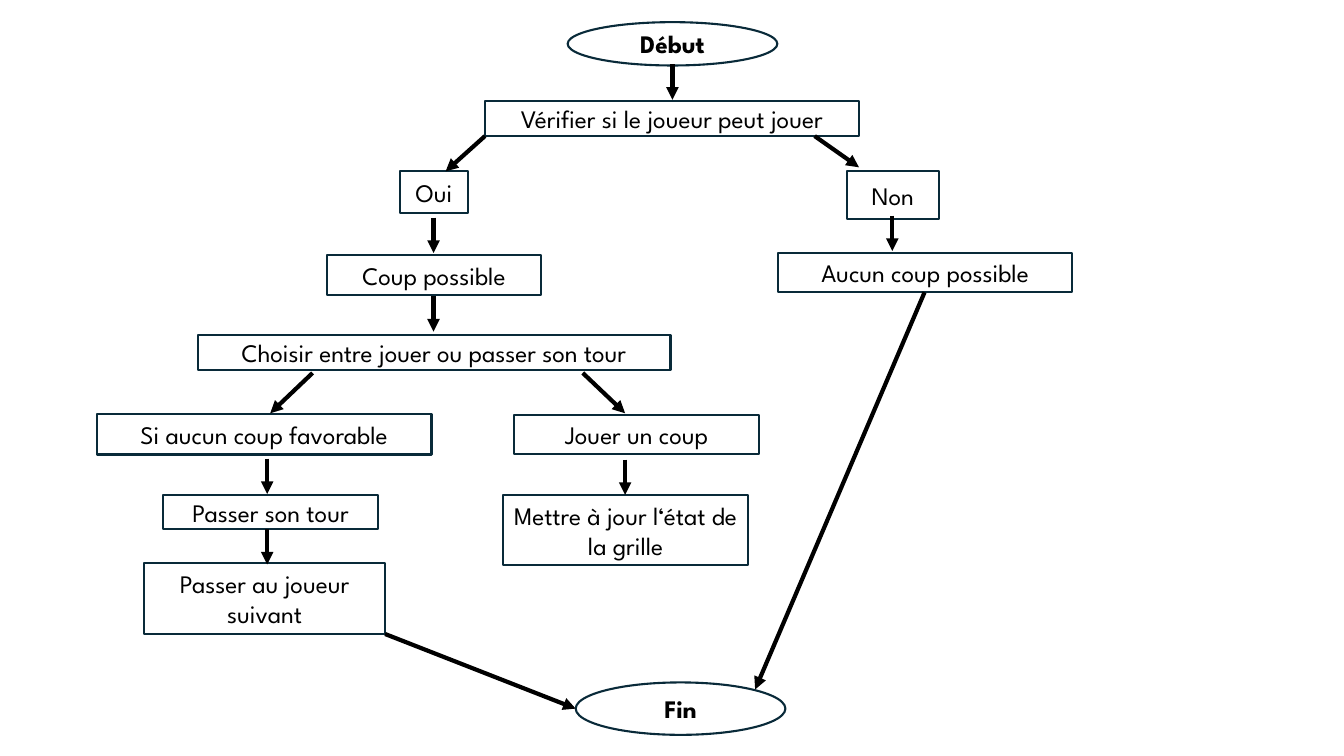
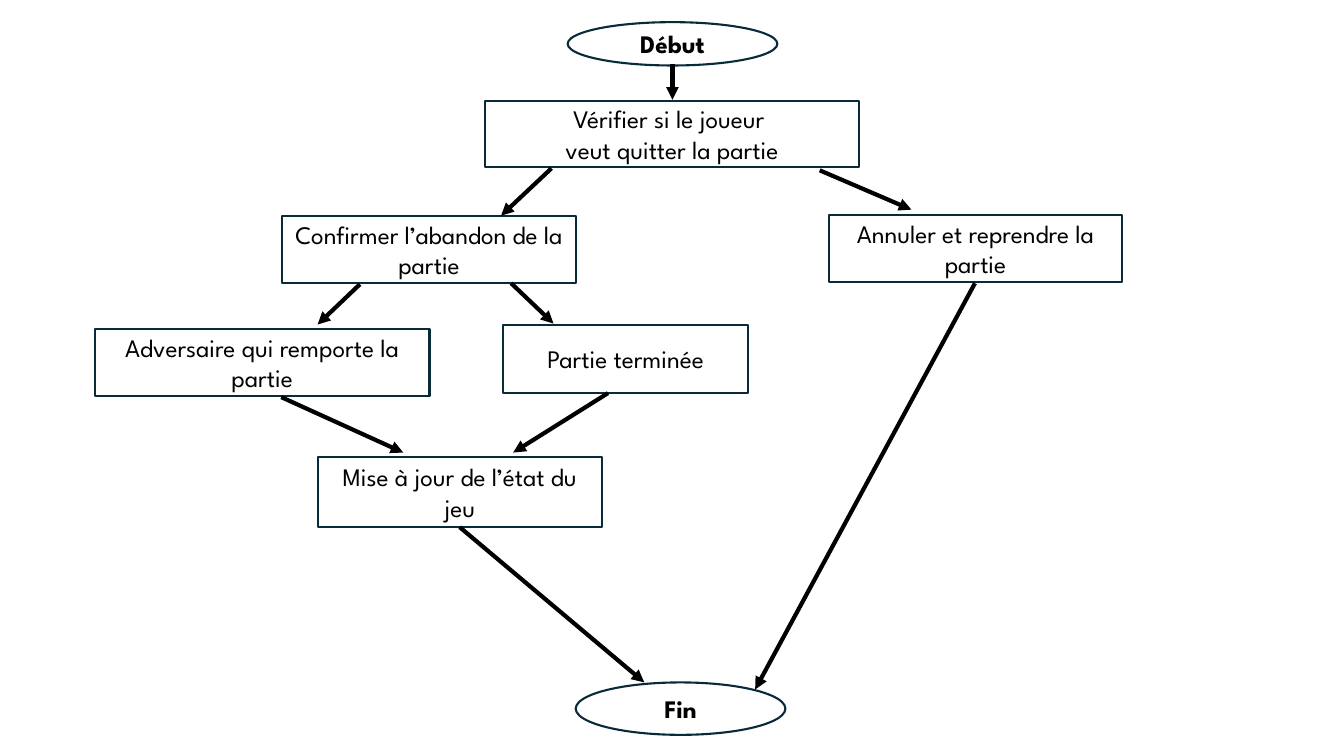
from lxml import etree
from pptx import Presentation
from pptx import util as u
from pptx.dml import color
from pptx.enum import shapes, text
from pptx.oxml import ns

PX = 9144  # EMU per px, 100 px to the inch
COLORS = {"outline": "092A39", "ink": "000000"}
FONT = {"name": "League Spartan", "size": u.Pt(18)}
STEP = 35  # length of a vertical arrow
TALL = 70  # height that holds two lines of text


def rgb(name):
    return color.RGBColor.from_string(COLORS[name])


class Flowchart:
    """Holds the style and the current slide."""

    def __init__(self, width, height):
        self.prs = Presentation()
        self.prs.slide_width, self.prs.slide_height = width * PX, height * PX
        self.slide = None

    def new_slide(self):
        """Start a slide with the start and end nodes."""
        self.slide = self.prs.slides.add_slide(self.prs.slide_layouts[6])
        self.terminal("Début", 563, 22, 208, 43)
        self.down(667, 64)
        self.terminal("Fin", 571, 677, 208, 52)

    def node(self, kind, label, x, y, w, h, bold=False):
        sp = self.slide.shapes.add_shape(kind, *(v * PX for v in (x, y, w, h)))
        sp.shadow.inherit = False
        sp.fill.background()
        sp.line.color.rgb = rgb("outline")
        sp.line.width = u.Pt(1.5)
        tf = sp.text_frame
        tf.word_wrap = True
        tf.vertical_anchor = text.MSO_ANCHOR.MIDDLE
        tf.text = label
        for p in tf.paragraphs:
            p.alignment = text.PP_ALIGN.CENTER
            for r in p.runs:
                for key, value in {**FONT, "bold": bold}.items():
                    setattr(r.font, key, value)
                r.font.color.rgb = rgb("ink")

    def terminal(self, label, *box):
        self.node(shapes.MSO_SHAPE.OVAL, label, *box, bold=True)

    def step(self, label, *box):
        self.node(shapes.MSO_SHAPE.RECTANGLE, label, *box)

    def arrow(self, *ends):
        cx = self.slide.shapes.add_connector(
            shapes.MSO_CONNECTOR.STRAIGHT, *(v * PX for v in ends))
        cx.line.color.rgb = rgb("ink")
        cx.line.width = u.Pt(3)
        etree.SubElement(cx.line._get_or_add_ln(), ns.qn("a:tailEnd"), type="triangle")
        etree.SubElement(cx._element.spPr, ns.qn("a:effectLst"))

    def down(self, x, y):
        self.arrow(x, y, x, y + STEP)

    def draw(self, steps, downs, arrows):
        self.new_slide()
        for s in steps:
            self.step(*s)
        for d in downs:
            self.down(*d)
        for a in arrows:
            self.arrow(*a)


def main():
    chart = Flowchart(1333, 750)

    # Playing a turn
    chart.draw(
        steps=[
            ("Vérifier si le joueur peut jouer", 481, 100, 371, 35),
            ("Oui", 397, 170, 67, 41),
            ("Non", 840, 170, 91, 47),
            ("Coup possible", 324, 253, 213, 40),
            ("Aucun coup possible", 772, 251, 291, 39),
            ("Choisir entre jouer ou passer son tour", 196, 332, 469, 35),
            ("Si aucun coup favorable", 96, 411, 332, 40),
            ("Jouer un coup", 510, 412, 243, 38),
            ("Passer son tour", 162, 491, 213, 34),
            ("Mettre à jour l‘état de la grille", 499, 491, 243, TALL),
            ("Passer au joueur suivant", 143, 559, 239, TALL),
        ],
        downs=[(430, 216), (430, 294), (885, 214),
               (265, 455), (265, 525), (620, 456)],
        arrows=[
            (481, 135, 442, 170),
            (808, 135, 852, 166),
            (310, 370, 268, 410),
            (578, 370, 620, 410),
            (382, 559 + TALL, 571, 703),
            (917, 290, 749, 684),
        ],
    )

    # Leaving the game
    chart.draw(
        steps=[
            ("Vérifier si le joueur \nveut quitter la partie", 481, 100, 371, 66),
            ("Confirmer l’abandon de la partie", 280, 214, 291, 67),
            ("Annuler et reprendre la partie", 822, 213, 291, 67),
            ("Adversaire qui remporte la partie", 94, 326, 332, 67),
            ("Partie terminée", 499, 322, 243, 68),
            ("Mise à jour de l’état du jeu", 315, 453, 282, TALL),
        ],
        downs=[],
        arrows=[
            (547, 167, 497, 214),
            (813, 169, 904, 208),
            (357, 282, 315, 322),
            (507, 281, 549, 321),
            (279, 394, 400, 449),
            (603, 390, 509, 449),
            (456, 453 + TALL, 639, 677),
            (967, 281, 749, 684),
        ],
    )

    chart.prs.save("out.pptx")


if __name__ == "__main__":
    main()
